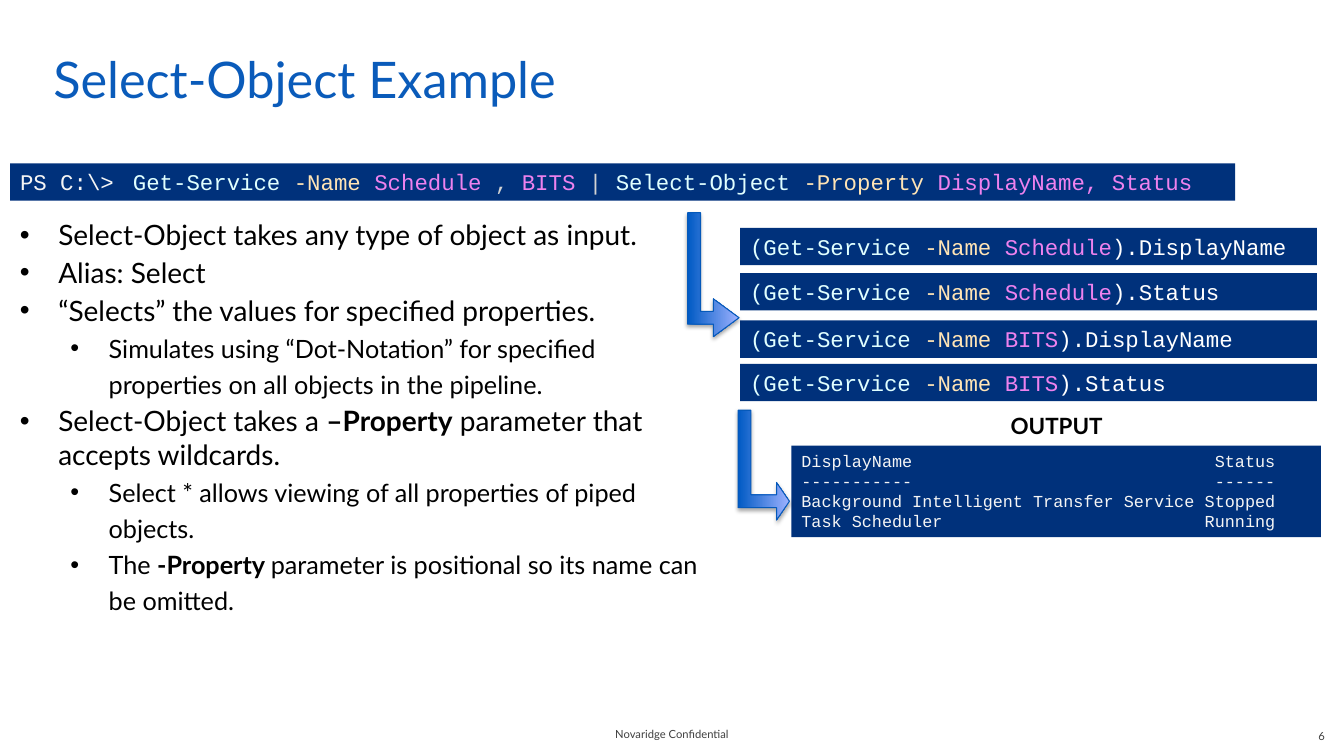
"""Build the Select-Object example slide."""
from dataclasses import dataclass
from typing import Optional

from lxml import etree
from pptx import Presentation
from pptx.dml.color import RGBColor
from pptx.enum.shapes import MSO_SHAPE
from pptx.enum.text import MSO_ANCHOR, PP_ALIGN
from pptx.oxml.ns import qn
from pptx.util import Inches, Pt

RECTANGLE, BENT_ARROW = MSO_SHAPE.RECTANGLE, MSO_SHAPE.BENT_UP_ARROW
TOP, MIDDLE = MSO_ANCHOR.TOP, MSO_ANCHOR.MIDDLE
LEFT, CENTER, RIGHT = PP_ALIGN.LEFT, PP_ALIGN.CENTER, PP_ALIGN.RIGHT
BODY_FONT, CODE_FONT = "Lato", "Courier New"
COLORS = {
    "title": "0A5BBA", "body": "000000", "footer": "3F3F3F", "console": "00317B",
    "prompt": "F5F5F5", "cmdlet": "E0FFFF", "parameter": "FFE4B5",
    "argument": "EE82EE", "operator": "D3D3D3", "member": "FFFFFF",
    "arrow_dark": "005AC4", "arrow_light": "9EB2FF", "arrow_edge": "0559BA",
}


@dataclass(frozen=True)
class Span:
    text: str
    color: Optional[str] = None
    bold: Optional[bool] = None


@dataclass(frozen=True)
class Bullet:
    spans: tuple[Span, ...]
    nested: bool = False


@dataclass(frozen=True)
class Label:
    text: str
    box: tuple[float, float, float, float]
    size: int
    color: str
    align: PP_ALIGN = LEFT
    anchor: MSO_ANCHOR = TOP
    insets: tuple[float, float, float, float] = (0.1, 0.05, 0.1, 0.05)
    bold: bool = False


@dataclass(frozen=True)
class Console:
    box: tuple[float, float, float, float]
    lines: tuple[tuple[Span, ...], ...]
    size: int = 16
    tab: Optional[tuple[float, str]] = None


@dataclass(frozen=True)
class Arrow:
    box: tuple[float, float, float, float]
    head_length: float


def rgb(name: str) -> RGBColor:
    return RGBColor.from_string(COLORS[name])


def inches(values: tuple[float, ...]) -> list[Inches]:
    return [Inches(value) for value in values]


def style(paragraph, font: str, size: int, color: str, bold: bool = False) -> None:
    paragraph.font.name = font
    paragraph.font.size = Pt(size)
    paragraph.font.color.rgb = rgb(color)
    paragraph.font.bold = bold


def add_spans(paragraph, spans: tuple[Span, ...]) -> None:
    for span in spans:
        run = paragraph.add_run()
        run.text = span.text
        if span.color:
            run.font.color.rgb = rgb(span.color)
        if span.bold:
            run.font.bold = True


def next_paragraph(frame, index: int):
    return frame.add_paragraph() if index else frame.paragraphs[0]


def add_label(slide, label: Label) -> None:
    frame = slide.shapes.add_textbox(*inches(label.box)).text_frame
    frame.word_wrap = True
    frame.vertical_anchor = label.anchor
    (frame.margin_left, frame.margin_top,
     frame.margin_right, frame.margin_bottom) = inches(label.insets)
    paragraph = frame.paragraphs[0]
    paragraph.alignment = label.align
    add_spans(paragraph, (Span(label.text),))
    style(paragraph, BODY_FONT, label.size, label.color, label.bold)


def add_bullets(slide, box: tuple[float, float, float, float], bullets: list[Bullet]) -> None:
    frame = slide.shapes.add_textbox(*inches(box)).text_frame
    frame.word_wrap = True
    for index, bullet in enumerate(bullets):
        paragraph = next_paragraph(frame, index)
        properties = paragraph._p.get_or_add_pPr()
        properties.set("marL", str(Inches(0.88 if bullet.nested else 0.38)))
        properties.set("indent", str(Inches(-0.38)))
        etree.SubElement(properties, qn("a:buFont"), typeface="Arial")
        etree.SubElement(properties, qn("a:buChar"), char="•")
        if bullet.nested:
            paragraph.level = 1
            paragraph.line_spacing = 1.2
        else:
            paragraph.space_before = Pt(3)
        add_spans(paragraph, bullet.spans)
        style(paragraph, BODY_FONT, 18 if bullet.nested else 20, "body")


def add_console(slide, console: Console) -> None:
    panel = slide.shapes.add_shape(RECTANGLE, *inches(console.box))
    panel.shadow.inherit = False
    panel.fill.solid()
    panel.fill.fore_color.rgb = rgb("console")
    panel.line.fill.background()
    frame = panel.text_frame
    frame.word_wrap = True
    frame.vertical_anchor = TOP
    for index, spans in enumerate(console.lines):
        paragraph = next_paragraph(frame, index)
        paragraph.alignment = LEFT
        if console.tab:
            position, side = console.tab
            stops = etree.SubElement(paragraph._p.get_or_add_pPr(), qn("a:tabLst"))
            etree.SubElement(stops, qn("a:tab"), pos=str(Inches(position)), algn=side)
        add_spans(paragraph, spans)
        style(paragraph, CODE_FONT, console.size, "prompt")


def add_arrow(slide, arrow: Arrow) -> None:
    bent = slide.shapes.add_shape(BENT_ARROW, *inches(arrow.box))
    bent.rotation = 90
    for index, value in enumerate((0.25, 0.367, arrow.head_length)):
        bent.adjustments[index] = value
    bent.fill.gradient()
    bent.fill.gradient_angle = 90
    for stop, color in zip(bent.fill.gradient_stops, ("arrow_dark", "arrow_light")):
        stop.color.rgb = rgb(color)
    bent.line.color.rgb = rgb("arrow_edge")
    bent.line.width = Pt(0.75)
    bent.shadow.inherit = False
    effects = bent._element.spPr.find(qn("a:effectLst"))
    shadow = etree.SubElement(effects, qn("a:outerShdw"), blurRad=str(Pt(3.1)),
                              dist=str(Pt(1.8)), dir="5400000", rotWithShape="0")
    black = etree.SubElement(shadow, qn("a:srgbClr"), val="000000")
    etree.SubElement(black, qn("a:alpha"), val="35000")


def property_call(top: float, service: str, member: str) -> Console:
    return Console((7.34, top, 5.72, 0.37), ((
        Span("(Get-Service ", "cmdlet"), Span("-Name ", "parameter"),
        Span(service, "argument"), Span(f").{member}", "member")),))


LABELS = [
    Label("Novaridge Confidential", (5.11, 7.08, 3.11, 0.4), 8, "footer",
          CENTER, MIDDLE, (0.2, 0.05, 0.2, 0.05)),
    Label("Select-Object Example", (0.33, 0.33, 12.33, 0.75), 36, "title",
          insets=(0.2, 0.15, 0.1, 0.05)),
    Label("6", (10.23, 7.1, 3.11, 0.4), 8, "footer", RIGHT, MIDDLE, (0.2, 0.05, 0.2, 0.05)),
    Label("OUTPUT", (9.22, 4.04, 2.52, 0.37), 16, "body", CENTER, bold=True),
]
BULLETS = [
    Bullet((Span("Select-Object takes any type of object as input."),)),
    Bullet((Span("Alias: Select"),)),
    Bullet((Span("“Selects” the values for specified properties."),)),
    Bullet((Span("Simulates using “Dot-Notation” for specified properties "
                 "on all objects in the pipeline."),), True),
    Bullet((Span("Select-Object takes a "), Span("–Property", bold=True),
            Span(" parameter that accepts wildcards."))),
    Bullet((Span("Select * allows viewing of all properties of piped objects."),), True),
    Bullet((Span("The "), Span("-Property ", bold=True),
            Span("parameter is positional so its name can be omitted.")), True),
]
COMMAND = Console((0.1, 1.62, 12.15, 0.37), ((
    Span("PS C:\\>\t"), Span("Get-Service ", "cmdlet"), Span("-Name ", "parameter"),
    Span("Schedule ", "argument"), Span(", ", "operator"), Span("BITS ", "argument"),
    Span("| ", "operator"), Span("Select-Object ", "cmdlet"),
    Span("-Property ", "parameter"), Span("DisplayName, Status", "argument")),), tab=(1.12, "l"))
OUTPUT_ROWS = [("DisplayName", "Status"), ("-" * 11, "-" * 6),
               ("Background Intelligent Transfer Service", "Stopped"),
               ("Task Scheduler", "Running")]
OUTPUT = Console((7.85, 4.42, 5.25, 0.91),
                 tuple((Span("\t".join(row)),) for row in OUTPUT_ROWS), 12, (4.7, "r"))
CALLS = [property_call(2.26, "Schedule", "DisplayName"), property_call(2.71, "Schedule", "Status"),
         property_call(3.18, "BITS", "DisplayName"), property_call(3.61, "BITS", "Status")]
ARROWS = [Arrow((6.46, 2.47, 1.23, 0.51), 0.499), Arrow((7.03, 4.36, 1.09, 0.51), 0.252)]


def main() -> None:
    deck = Presentation()
    deck.slide_width, deck.slide_height = Inches(13.33), Inches(7.5)
    slide = deck.slides.add_slide(deck.slide_layouts[6])
    for label in LABELS:
        add_label(slide, label)
    add_bullets(slide, (0.1, 2.11, 6.94, 4.99), BULLETS)
    for console in (COMMAND, *CALLS, OUTPUT):
        add_console(slide, console)
    for arrow in ARROWS:
        add_arrow(slide, arrow)
    deck.save("out.pptx")


if __name__ == "__main__":
    main()
